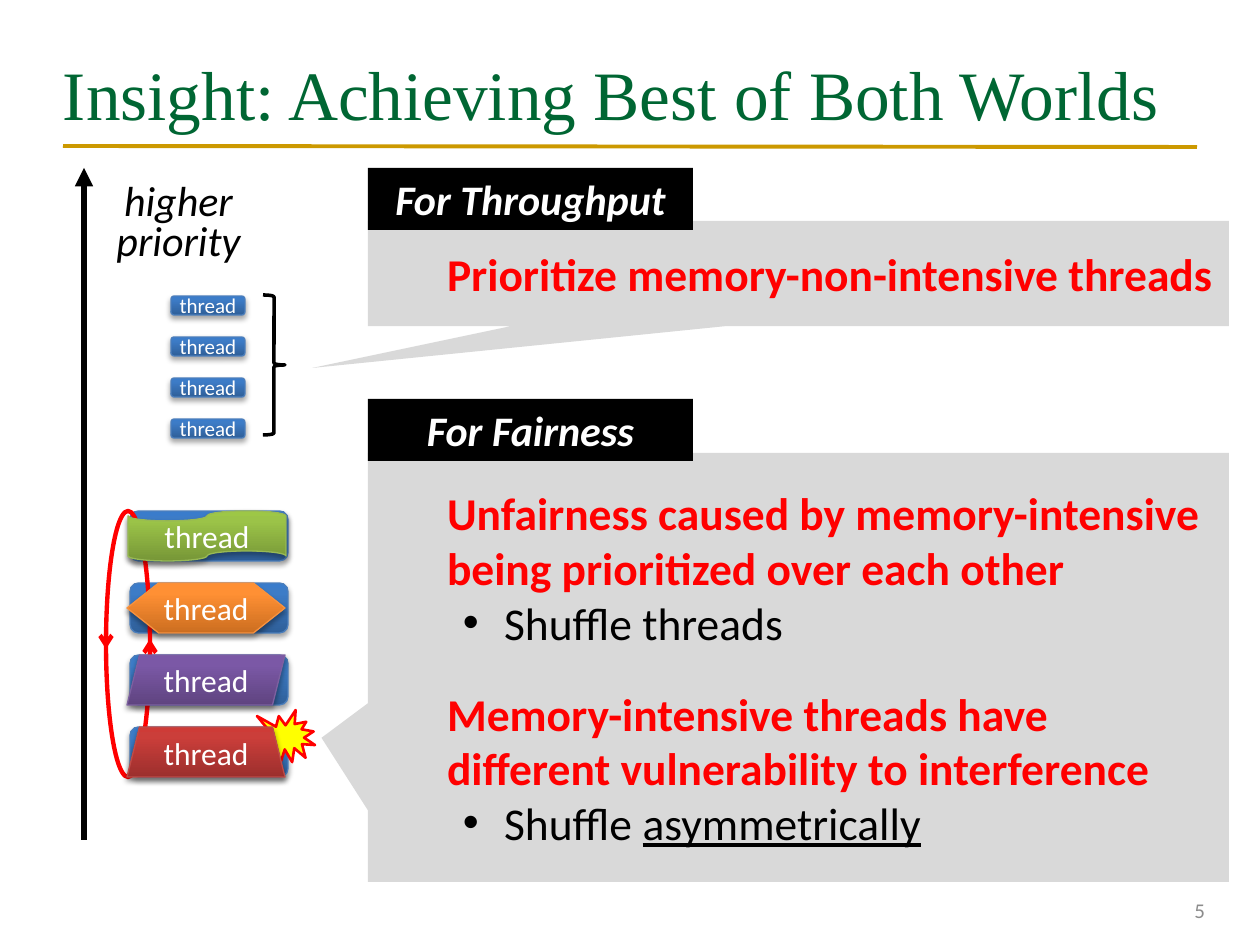
from dataclasses import dataclass

import lxml.etree
import pptx
import pptx.dml.color
import pptx.enum.shapes
import pptx.enum.text
import pptx.oxml.ns
import pptx.util

EMU_PER_PX = 914400 / 126
SHAPE = pptx.enum.shapes.MSO_SHAPE
ANCHOR = pptx.enum.text.MSO_ANCHOR
ALIGN = pptx.enum.text.PP_ALIGN
qn = pptx.oxml.ns.qn


@dataclass(frozen=True)
class Box:
    x: int
    y: int
    w: int
    h: int


@dataclass(frozen=True)
class Style:
    stops: tuple[str, str, str]
    line: str


@dataclass(frozen=True)
class Thread:
    kind: int
    x: int
    style: Style


@dataclass(frozen=True)
class Callout:
    label: str
    label_y: int
    body: Box
    tip: tuple[float, float]


BLUE = Style(("2F5F99", "3D7CC7", "3A7CCB"), "4B7EBC")
THREADS = (
    Thread(SHAPE.FLOWCHART_PUNCHED_TAPE, 128, Style(("779737", "9BC348", "9DC746"), "98B955")),
    Thread(SHAPE.FLOWCHART_PREPARATION, 127, Style(("CC6E20", "FF9034", "FF9136"), "F69240")),
    Thread(SHAPE.PARALLELOGRAM, 127, Style(("5F4480", "7B58A6", "7C57A8"), "7D60A0")),
    Thread(SHAPE.TRAPEZOID, 127, Style(("9C2F2D", "CB3E3A", "CE3B37"), "BF4C48")),
)
THROUGHPUT = Callout("For Throughput", 168, Box(368, 221, 861, 105), (-0.565, 0.9))
FAIRNESS = Callout("For Fairness", 399, Box(368, 453, 861, 429), (-0.554, 0.164))
THREAD_TOP, THREAD_STEP = 511, 72
SMALL_TOP, SMALL_STEP = 296, 41


def px(n: int) -> int:
    return round(n * EMU_PER_PX)


def rgb(color: str) -> pptx.dml.color.RGBColor:
    return pptx.dml.color.RGBColor.from_string(color)


def set_frame(s, anchor=ANCHOR.MIDDLE, side: int = 0) -> None:
    tf = s.text_frame
    tf.word_wrap = True
    tf.vertical_anchor = anchor
    tf.margin_left = tf.margin_right = px(side)
    tf.margin_top = tf.margin_bottom = px(6)


def add_text(s, text: str, *, size: float, color: str, font: str = "Calibri",
             bold: bool = False, italic: bool = False, underline: bool = False,
             align=ALIGN.LEFT, left: int = 0, indent: int = 0, bullet: str = "",
             before: int = 0, spacing: float = 1.0, same_line: bool = False) -> None:
    tf = s.text_frame
    p = tf.paragraphs[-1]
    if p.runs and not same_line:
        p = tf.add_paragraph()
    if not same_line:
        p.alignment = align
        p.line_spacing = spacing
        if before:
            p.space_before = pptx.util.Pt(before)
        pPr = p._p.get_or_add_pPr()
        pPr.set("marL", str(px(left)))
        pPr.set("indent", str(px(indent)))
        if bullet:
            lxml.etree.SubElement(pPr, qn("a:buFont"), typeface="Arial")
            lxml.etree.SubElement(pPr, qn("a:buChar"), char=bullet)
    for i, part in enumerate(text.split("\n")):
        if i:
            p.add_line_break()
        r = p.add_run()
        r.text = part
        r.font.name = font
        r.font.size = pptx.util.Pt(size)
        r.font.color.rgb = rgb(color)
        r.font.bold = bold
        r.font.italic = italic
        r.font.underline = underline


def add_box(slide, box: Box, anchor=ANCHOR.MIDDLE, side: int = 0):
    s = slide.shapes.add_textbox(px(box.x), px(box.y), px(box.w), px(box.h))
    set_frame(s, anchor, side)
    return s


def add_shape(slide, kind: int, box: Box, fill: str = "", line: str = "", width: float = 1):
    s = slide.shapes.add_shape(kind, px(box.x), px(box.y), px(box.w), px(box.h))
    s.shadow.inherit = False
    if fill:
        s.fill.solid()
        s.fill.fore_color.rgb = rgb(fill)
    else:
        s.fill.background()
    if line:
        s.line.color.rgb = rgb(line)
        s.line.width = pptx.util.Pt(width)
    else:
        s.line.fill.background()
    set_frame(s)
    return s


def add_line(slide, x1: int, y1: int, x2: int, y2: int, color: str, width: float,
             arrow: str = "") -> None:
    c = slide.shapes.add_connector(pptx.enum.shapes.MSO_CONNECTOR.STRAIGHT,
                                   px(x1), px(y1), px(x2), px(y2))
    c.line.color.rgb = rgb(color)
    c.line.width = pptx.util.Pt(width)
    if arrow:
        lxml.etree.SubElement(c.line._get_or_add_ln(), qn("a:tailEnd"), type=arrow)
    lxml.etree.SubElement(c._element.spPr, qn("a:effectLst"))


def add_thread(slide, kind: int, box: Box, style: Style, size: int) -> None:
    s = add_shape(slide, kind, box, line=style.line, width=0.75)
    s.fill.gradient()
    s.fill.gradient_angle = 90
    spPr = s._element.spPr
    stops = spPr.find(qn("a:gradFill")).find(qn("a:gsLst"))
    for stop in list(stops):
        stops.remove(stop)
    for pos, color in zip((0, 80, 100), style.stops):
        gs = lxml.etree.SubElement(stops, qn("a:gs"), pos=str(pos * 1000))
        lxml.etree.SubElement(gs, qn("a:srgbClr"), val=color)
    shadow = lxml.etree.SubElement(
        spPr.find(qn("a:effectLst")), qn("a:outerShdw"), blurRad=str(pptx.util.Pt(3.1)),
        dist=str(pptx.util.Pt(1.8)), dir="5400000", rotWithShape="0")
    black = lxml.etree.SubElement(shadow, qn("a:srgbClr"), val="000000")
    lxml.etree.SubElement(black, qn("a:alpha"), val="35000")
    add_text(s, "thread", size=size, color="FFFFFF", align=ALIGN.CENTER)


def add_callout(slide, callout: Callout):
    body = add_shape(slide, SHAPE.RECTANGULAR_CALLOUT, callout.body, fill="D9D9D9")
    body.adjustments[0], body.adjustments[1] = callout.tip
    label = add_shape(slide, SHAPE.RECTANGLE, Box(368, callout.label_y, 325, 62), fill="000000")
    add_text(label, callout.label, size=24, color="FFFFFF", bold=True, italic=True,
             align=ALIGN.CENTER)
    return body


def main() -> None:
    prs = pptx.Presentation()
    prs.slide_width, prs.slide_height = px(1260), px(945)
    slide = prs.slides.add_slide(prs.slide_layouts[6])

    add_line(slide, 63, 146, 1197, 147, "CC9900", 2.25)
    title = add_box(slide, Box(63, 38, 1134, 110))
    add_text(title, "Insight: Achieving Best of Both Worlds", size=39.6, color="006633",
             font="Times New Roman")
    number = add_box(slide, Box(924, 885, 294, 50), side=13)
    add_text(number, "5", size=12, color="8C8C8C", align=ALIGN.RIGHT)

    add_line(slide, 84, 840, 84, 168, "000000", 3.5, "triangle")
    axis = add_box(slide, Box(115, 178, 127, 96), ANCHOR.TOP)
    for word in ("higher", "priority"):
        add_text(axis, word, size=24, color="000000", italic=True, align=ALIGN.CENTER,
                 spacing=0.8)

    rows = [THREAD_TOP + i * THREAD_STEP for i in range(len(THREADS))]
    for y in rows:
        add_thread(slide, SHAPE.ROUNDED_RECTANGLE, Box(130, y, 158, 50), BLUE, 18)
    for i in range(4):
        add_thread(slide, SHAPE.ROUNDED_RECTANGLE,
                   Box(171, SMALL_TOP + i * SMALL_STEP, 74, 19), BLUE, 12)

    red = dict(size=26, color="FF0000", bold=True, left=79)
    item = dict(size=26, color="000000", left=136, indent=-41, bullet="•")
    body = add_callout(slide, THROUGHPUT)
    add_text(body, "Prioritize memory-non-intensive threads", **red)
    body = add_callout(slide, FAIRNESS)
    add_text(body, "Unfairness caused by memory-intensive being prioritized over each other", **red)
    add_text(body, "Shuffle threads", **item)
    add_text(body, "Memory-intensive threads have\ndifferent vulnerability to interference",
             before=21, **red)
    add_text(body, "Shuffle ", **item)
    add_text(body, "asymmetrically", size=26, color="000000", underline=True, same_line=True)

    add_line(slide, 106, 639, 106, 649, "FF0000", 2.5, "arrow")
    add_line(slide, 150, 649, 150, 639, "FF0000", 2.5, "arrow")
    add_shape(slide, SHAPE.RIGHT_BRACE, Box(263, 295, 22, 140), line="000000", width=2)
    loop = add_shape(slide, SHAPE.OVAL, Box(-5, 622, 266, 44), line="FF0000", width=2.5)
    loop.rotation = 270
    add_shape(slide, SHAPE.EXPLOSION1, Box(256, 710, 59, 57), fill="FFFF00", line="FF0000",
              width=1.5)
    for thread, y in zip(THREADS, rows):
        add_thread(slide, thread.kind, Box(thread.x, y, 158, 50), thread.style, 18)

    prs.save("out.pptx")


if __name__ == "__main__":
    main()
